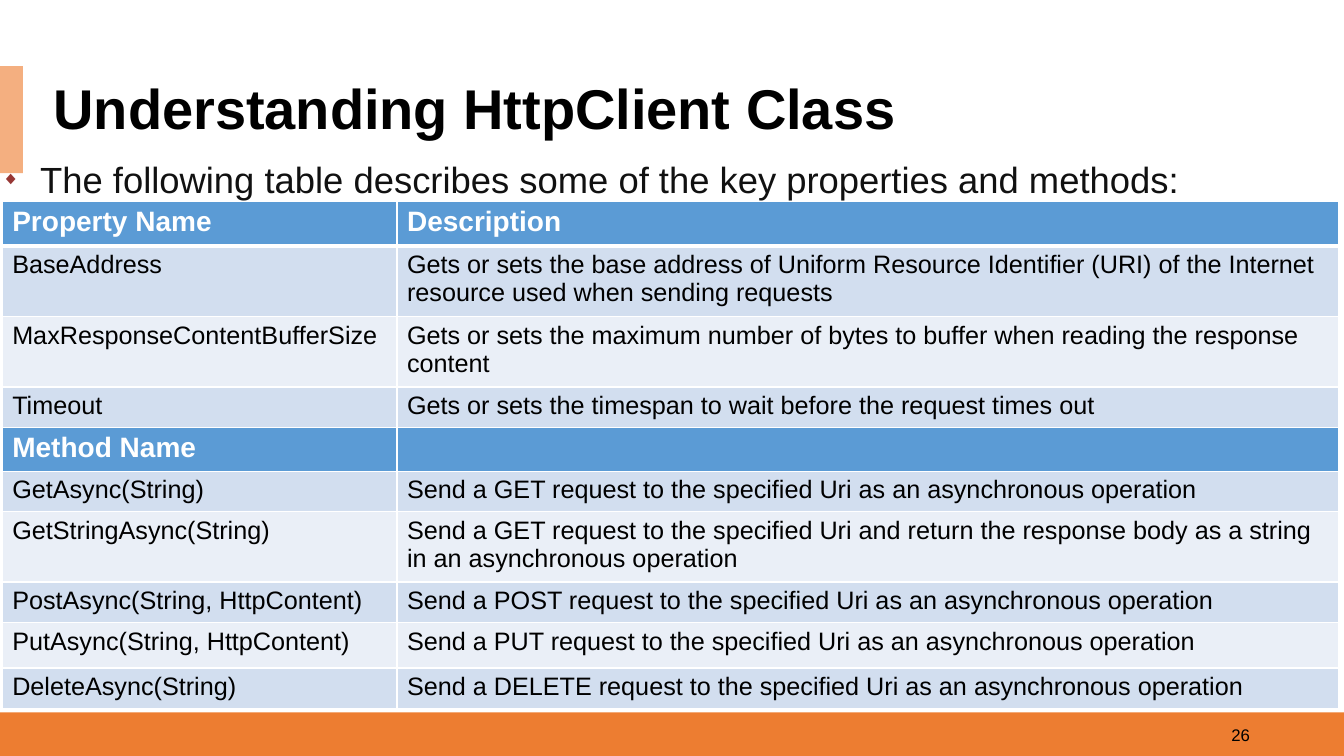
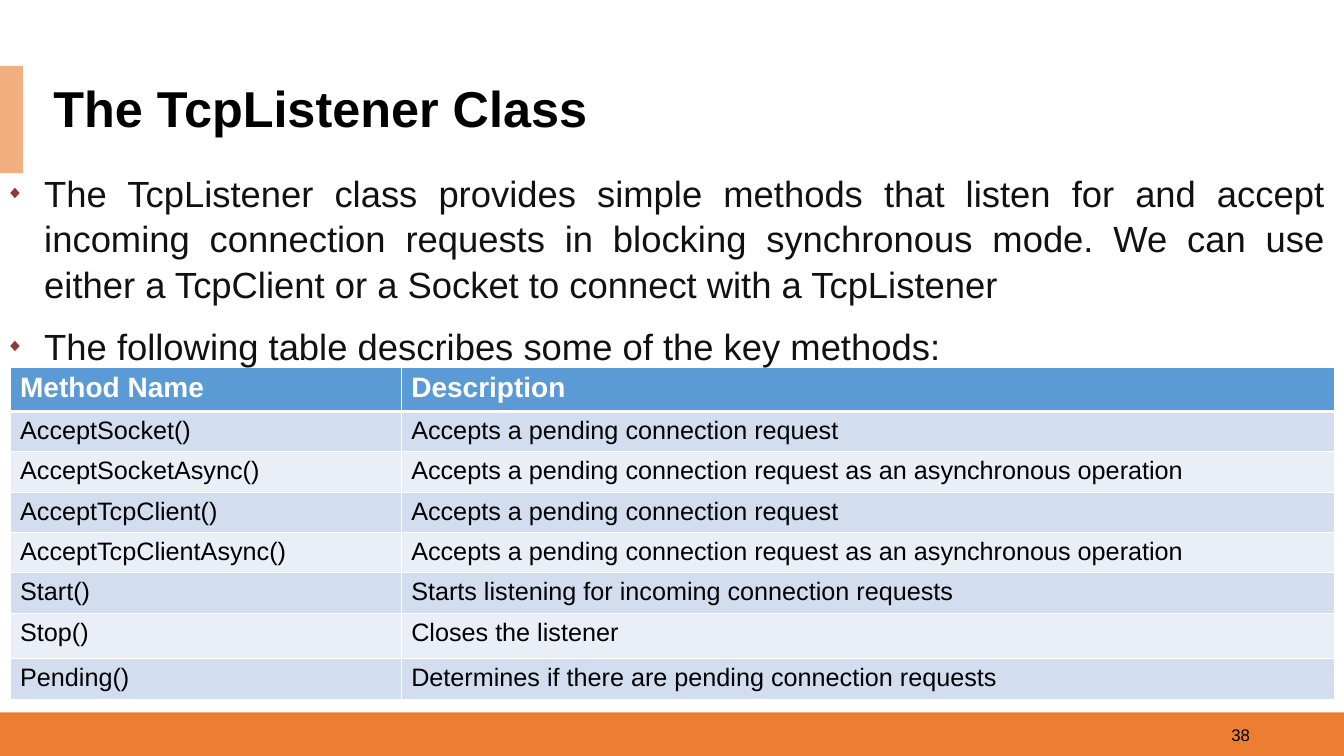
from lxml import etree
from pptx import Presentation
from pptx.dml.color import RGBColor
from pptx.enum import shapes, text
from pptx.oxml import ns
from pptx.util import Pt

FONT = "Arial"
BLACK = RGBColor(0x00, 0x00, 0x00)
WHITE = RGBColor(0xFF, 0xFF, 0xFF)
BODY = RGBColor(0x11, 0x11, 0x11)
BULLET = RGBColor(0x97, 0x37, 0x35)
ORANGE = RGBColor(0xED, 0x7D, 0x31)
PEACH = RGBColor(0xF4, 0xAF, 0x80)
HEADER_BLUE = RGBColor(0x5B, 0x9B, 0xD5)
BAND_COLORS = [RGBColor(0xD2, 0xDE, 0xEF), RGBColor(0xEA, 0xEF, 0xF7)]

BANDS = [(0, 508.8, 960, 31.2, ORANGE), (0, 47.3, 16.4, 76.4, PEACH)]
BULLET_INDENT = 27.4
HEADER_FORMAT = {"name": FONT, "size": Pt(20), "bold": True}
CELL_FORMAT = {"name": FONT, "size": Pt(18), "bold": False}

SLIDES = [
    {
        "title": "Understanding HttpClient Class",
        "title_size": 40,
        "number": "26",
        "bullets": ["The following table describes some of the key properties and methods:"],
        "bullet_box": (-5.8, 107.5, 906, 39),
        "table_at": (1.6, 144),
        "columns": [282, 672.5],
        "headers": [0, 4],
        "rows": [
            (31.6, "Property Name", "Description"),
            (47.8, "BaseAddress",
             "Gets or sets the base address of Uniform Resource Identifier (URI) "
             "of the Internet resource used when sending requests"),
            (47.8, "MaxResponseContentBufferSize",
             "Gets or sets the maximum number of bytes to buffer when reading the response content"),
            (27.4, "Timeout", "Gets or sets the timespan to wait before the request times out"),
            (30, "Method Name", ""),
            (28.6, "GetAsync(String)",
             "Send a GET request to the specified Uri as an asynchronous operation"),
            (47.8, "GetStringAsync(String)",
             "Send a GET request to the specified Uri and return the response body "
             "as a string in an asynchronous operation"),
            (28.6, "PostAsync(String, HttpContent)",
             "Send a POST request to the specified Uri as an asynchronous operation"),
            (32.6, "PutAsync(String, HttpContent)",
             "Send a PUT request to the specified Uri as an asynchronous operation"),
            (29.2, "DeleteAsync(String)",
             "Send a DELETE request to the specified Uri as an asynchronous operation"),
        ],
    },
    {
        "title": "The TcpListener Class",
        "title_size": 36,
        "number": "38",
        "bullets": [
            "The TcpListener class provides simple methods that listen for and accept "
            "incoming connection requests in blocking synchronous mode. We can use "
            "either a TcpClient or a Socket to connect with a TcpListener",
            "The following table describes some of the key methods:",
        ],
        "bullet_box": (-2.9, 117.5, 957.6, 145.5),
        "table_at": (7.2, 262.5),
        "columns": [279.4, 666.7],
        "headers": [0],
        "rows": [
            (31.4, "Method Name", "Description"),
            (28.8, "AcceptSocket()", "Accepts a pending connection request"),
            (28.8, "AcceptSocketAsync()",
             "Accepts a pending connection request as an asynchronous operation"),
            (28.8, "AcceptTcpClient()", "Accepts a pending connection request"),
            (28.8, "AcceptTcpClientAsync()",
             "Accepts a pending connection request as an asynchronous operation"),
            (28.8, "Start()", "Starts listening for incoming connection requests"),
            (32.4, "Stop()", "Closes the listener"),
            (29.2, "Pending()", "Determines if there are pending connection requests"),
        ],
    },
]


def format_font(font, color, values):
    for name, value in values.items():
        setattr(font, name, value)
    font.color.rgb = color


def add_xml(parent, tag, **attributes):
    return etree.SubElement(parent, ns.qn(tag), attributes)


presentation = Presentation()
presentation.slide_width, presentation.slide_height = Pt(960), Pt(540)

for content in SLIDES:
    slide = presentation.slides.add_slide(presentation.slide_layouts[5])

    for left, top, width, height, color in BANDS:
        band = slide.shapes.add_shape(shapes.MSO_SHAPE.RECTANGLE,
                                      Pt(left), Pt(top), Pt(width), Pt(height))
        band.shadow.inherit = False
        band.fill.solid()
        band.fill.fore_color.rgb = color
        band.line.fill.background()

    number_box = slide.shapes.add_textbox(Pt(684), Pt(510.5), Pt(216), Pt(28.8))
    number_box.text_frame.word_wrap = True
    number_box.text_frame.vertical_anchor = text.MSO_ANCHOR.MIDDLE
    paragraph = number_box.text_frame.paragraphs[0]
    paragraph.text = content["number"]
    paragraph.alignment = text.PP_ALIGN.RIGHT
    format_font(paragraph.font, BLACK, {"name": FONT, "size": Pt(12)})

    title = slide.shapes.title
    title.left, title.top, title.width, title.height = Pt(31), Pt(57), Pt(920), Pt(45.4)
    title.fill.solid()
    title.fill.fore_color.rgb = WHITE
    title.text_frame.text = content["title"]
    title.text_frame.auto_size = text.MSO_AUTO_SIZE.NONE
    title.text_frame.vertical_anchor = text.MSO_ANCHOR.MIDDLE
    paragraph = title.text_frame.paragraphs[0]
    paragraph.alignment = text.PP_ALIGN.LEFT
    paragraph.line_spacing = 0.9
    format_font(paragraph.font, BLACK,
                {"name": FONT, "size": Pt(content["title_size"]), "bold": True})

    rows, columns = content["rows"], content["columns"]
    left, top = content["table_at"]
    table = slide.shapes.add_table(
        len(rows), len(columns), Pt(left), Pt(top),
        Pt(sum(columns)), Pt(sum(row[0] for row in rows))).table
    for column, width in zip(table.columns, columns):
        column.width = Pt(width)
    band_index = 0
    for row_index, (height, *labels) in enumerate(rows):
        table.rows[row_index].height = Pt(height)
        is_header = row_index in content["headers"]
        if is_header:
            fill, color, values = HEADER_BLUE, WHITE, HEADER_FORMAT
            band_index = 0
        else:
            fill, color, values = BAND_COLORS[band_index % 2], BLACK, CELL_FORMAT
            band_index += 1
        border_widths = {"L": 1, "R": 1, "T": 3 if row_index == 1 else 1,
                         "B": 3 if row_index == 0 else 1}
        for column_index, label in enumerate(labels):
            cell = table.cell(row_index, column_index)
            cell.text = label
            format_font(cell.text_frame.paragraphs[0].font, color, values)
            properties = cell._tc.get_or_add_tcPr()
            for side, width in border_widths.items():
                line = add_xml(properties, f"a:ln{side}", w=str(Pt(width)))
                add_xml(add_xml(line, "a:solidFill"), "a:srgbClr", val=str(WHITE))
            cell.fill.solid()
            cell.fill.fore_color.rgb = fill

    bullet_box = slide.shapes.add_textbox(*map(Pt, content["bullet_box"]))
    frame = bullet_box.text_frame
    frame.word_wrap = True
    for index, bullet in enumerate(content["bullets"]):
        paragraph = frame.add_paragraph() if index else frame.paragraphs[0]
        paragraph.text = bullet
        properties = paragraph._p.get_or_add_pPr()
        properties.set("marL", str(Pt(BULLET_INDENT)))
        properties.set("indent", str(Pt(-BULLET_INDENT)))
        add_xml(add_xml(properties, "a:buClr"), "a:srgbClr", val=str(BULLET))
        add_xml(properties, "a:buSzPct", val="50000")
        add_xml(properties, "a:buFont", typeface=FONT)
        add_xml(properties, "a:buChar", char="◆")
        paragraph.alignment = text.PP_ALIGN.JUSTIFY
        paragraph.line_spacing = 1.04
        if index:
            paragraph.space_before = Pt(12)
        format_font(paragraph.font, BODY, {"name": FONT, "size": Pt(26)})

presentation.save("out.pptx")
